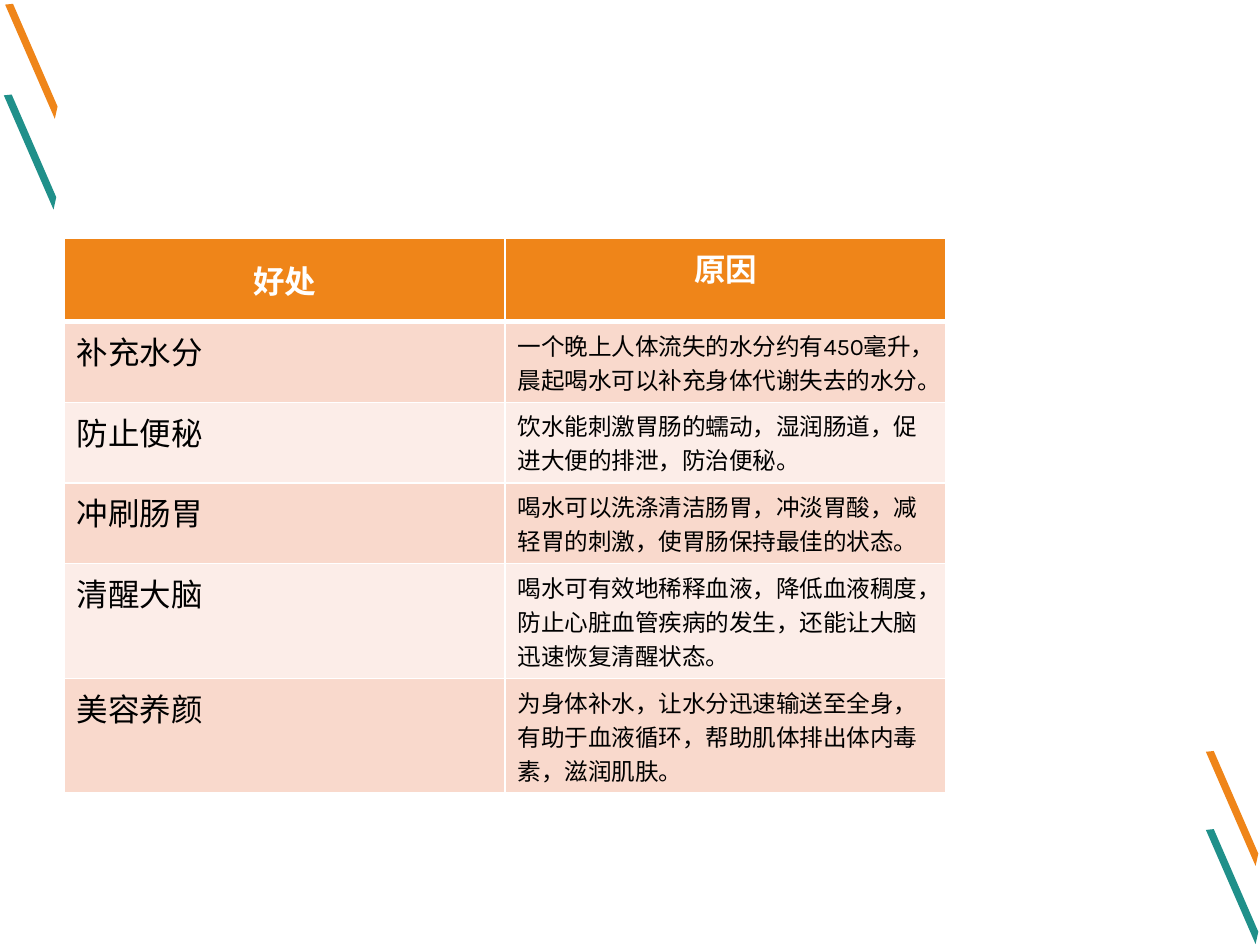
import pptx
import pptx.dml.color
import pptx.enum.text
import pptx.oxml
import pptx.oxml.ns
import pptx.util
from pptx.util import Inches


def color(hex_value):
    return pptx.dml.color.RGBColor.from_string(hex_value)


def add_border(cell, side, width):
    cell._tc.get_or_add_tcPr().append(pptx.oxml.parse_xml(
        f'<a:ln{side} {pptx.oxml.ns.nsdecls("a")} w="{pptx.util.Pt(width)}">'
        f'<a:solidFill><a:srgbClr val="FFFFFF"/></a:solidFill></a:ln{side}>'))


presentation = pptx.Presentation()
presentation.slide_width = Inches(10)
presentation.slide_height = Inches(7.5)
slide = presentation.slides.add_slide(presentation.slide_layouts[6])

# Slanted strokes in two corners
ORANGE, TEAL = "EF8519", "20908A"
strokes = [(9.48, 6, ORANGE), (-0.06, 0.79, TEAL),
           (-0.05, 0.07, ORANGE), (9.48, 6.62, TEAL)]
outline = [(0.06, 0), (0.58, 0.72), (0.58, 0.82)]
for left, top, fill in strokes:
    builder = slide.shapes.build_freeform(0, Inches(0.02))
    builder.add_line_segments([(Inches(x), Inches(y)) for x, y in outline])
    shape = builder.convert_to_shape(Inches(left), Inches(top))
    shape.left, shape.top = Inches(left), Inches(top)
    shape.rotation = 12.4
    shape.shadow.inherit = False
    shape.fill.solid()
    shape.fill.fore_color.rgb = color(fill)
    shape.line.fill.background()

# Table of benefits and reasons
rows = [
    ("好处", "原因"),
    ("补充水分", "一个晚上人体流失的水分约有450毫升，晨起喝水可以补充身体代谢失去的水分。"),
    ("防止便秘", "饮水能刺激胃肠的蠕动，湿润肠道，促进大便的排泄，防治便秘。"),
    ("冲刷肠胃", "喝水可以洗涤清洁肠胃，冲淡胃酸，减轻胃的刺激，使胃肠保持最佳的状态。"),
    ("清醒大脑", "喝水可有效地稀释血液，降低血液稠度，防止心脏血管疾病的发生，还能让大脑迅速恢复清醒状态。"),
    ("美容养颜", "为身体补水，让水分迅速输送至全身，有助于血液循环，帮助肌体排出体内毒素，滋润肌肤。"),
]
frame = slide.shapes.add_table(len(rows), 2, Inches(0.51), Inches(1.89),
                               Inches(7), Inches(3.73))
table = frame.table
for row_index, texts in enumerate(rows):
    table.rows[row_index].height = Inches(0.42)
    header = row_index == 0
    for column_index, text in enumerate(texts):
        cell = table.cell(row_index, column_index)

        # Borders, with a heavy rule under the header
        for side in "LRTB":
            if side == "T" and row_index == 1:
                continue
            add_border(cell, side, 3 if header and side == "B" else 1)

        # Fill: header colour, then alternating bands
        cell.fill.solid()
        cell.fill.fore_color.rgb = color(
            ORANGE if header else "F9D9CC" if row_index % 2 else "FCEDE8")

        # Text
        paragraph = cell.text_frame.paragraphs[0]
        if header:
            paragraph.alignment = pptx.enum.text.PP_ALIGN.CENTER
        run = paragraph.add_run()
        run.text = text
        run.font.name = "Karla"
        run.font.size = pptx.util.Pt(18 if header or column_index == 0 else 13.5)
        run.font.bold = header
        run.font.color.rgb = color("FFFFFF" if header else "000000")

# The first header cell has wider margins
first_cell = table.cell(0, 0)
first_cell.margin_left = first_cell.margin_right = Inches(0.15)
first_cell.margin_top = first_cell.margin_bottom = Inches(0.15)
frame.height = Inches(3.73)

presentation.save("out.pptx")
